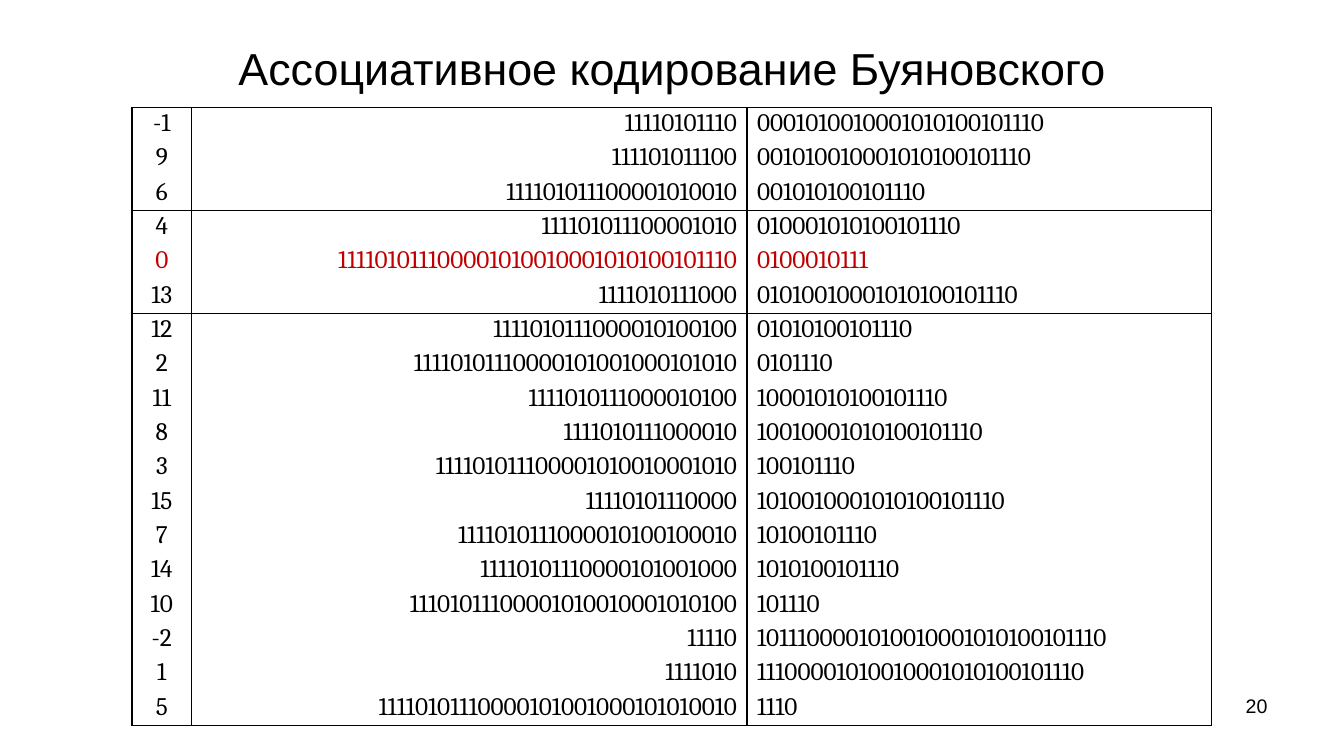
from lxml import etree
from pptx import Presentation
from pptx import util as u
from pptx.dml.color import RGBColor
from pptx.enum import text
from pptx.oxml import ns

BLACK, RED = "000000", "C00000"
ALIGN = text.PP_ALIGN
COLUMNS = [(0.59, ALIGN.CENTER), (5.51, ALIGN.RIGHT), (4.61, ALIGN.LEFT)]
ROW_HEIGHT = 0.33
GROUP_STARTS = {0, 3, 6}
HIGHLIGHT = "0"

# Position, left context, right context
CONTEXTS = [
    ("-1", "11110101110", "0001010010001010100101110"),
    ("9", "111101011100", "001010010001010100101110"),
    ("6", "111101011100001010010", "001010100101110"),
    ("4", "111101011100001010", "010001010100101110"),
    ("0", "111101011100001010010001010100101110", "0100010111"),
    ("13", "1111010111000", "01010010001010100101110"),
    ("12", "1111010111000010100100", "01010100101110"),
    ("2", "11110101110000101001000101010", "0101110"),
    ("11", "1111010111000010100", "10001010100101110"),
    ("8", "1111010111000010", "10010001010100101110"),
    ("3", "111101011100001010010001010", "100101110"),
    ("15", "11110101110000", "1010010001010100101110"),
    ("7", "1111010111000010100100010", "10100101110"),
    ("14", "11110101110000101001000", "1010100101110"),
    ("10", "11101011100001010010001010100", "101110"),
    ("-2", "11110", "1011100001010010001010100101110"),
    ("1", "1111010", "11100001010010001010100101110"),
    ("5", "11110101110000101001000101010010", "1110"),
]


def color(value):
    return RGBColor.from_string(value)


def write(para, words, size, font, align, ink=BLACK):
    para.alignment = align
    span = para.add_run()
    span.text = words
    span.font.size = u.Pt(size)
    span.font.name = font
    span.font.color.rgb = color(ink)


def add_label(page, bounds, words, size, align, anchor):
    box = page.shapes.add_textbox(*map(u.Inches, bounds))
    box.text_frame.word_wrap = True
    box.text_frame.vertical_anchor = anchor
    write(box.text_frame.paragraphs[0], words, size, "Arial", align)


def set_borders(cell, sides):
    props = cell._tc.get_or_add_tcPr()
    for position, side in enumerate(("L", "R", "T", "B")):
        line = etree.Element(ns.qn("a:ln" + side), w=str(u.Pt(1)))
        if side in sides:
            fill = etree.SubElement(line, ns.qn("a:solidFill"))
            etree.SubElement(fill, ns.qn("a:srgbClr"), val=BLACK)
        else:
            etree.SubElement(line, ns.qn("a:noFill"))
        props.insert(position, line)


def add_context_table(page, left, top):
    count = len(CONTEXTS)
    width = sum(size for size, _ in COLUMNS)
    frame = page.shapes.add_table(
        count, len(COLUMNS), *map(u.Inches, (left, top, width, count * ROW_HEIGHT)))
    table = frame.table
    table.first_row = table.horz_banding = False
    for column, (size, _) in zip(table.columns, COLUMNS):
        column.width = u.Inches(size)

    for r, entry in enumerate(CONTEXTS):
        table.rows[r].height = u.Inches(ROW_HEIGHT)
        ink = RED if entry[0] == HIGHLIGHT else BLACK
        sides = "LR"
        if r in GROUP_STARTS:
            sides += "T"
        if r + 1 in GROUP_STARTS or r + 1 == count:
            sides += "B"
        for c, words in enumerate(entry):
            cell = table.cell(r, c)
            cell.fill.background()
            set_borders(cell, sides)
            para = cell.text_frame.paragraphs[0]
            para.line_spacing = 0.8
            write(para, words, 18, "Cambria", COLUMNS[c][1], ink)


def build_slide(deck):
    page = deck.slides.add_slide(deck.slide_layouts[6])
    # Title
    add_label(page, (2.17, 0.16, 9, 1.02), "Ассоциативное кодирование Буяновского",
              32, ALIGN.CENTER, text.MSO_ANCHOR.MIDDLE)
    # Sorted contexts
    add_context_table(page, 1.31, 1.07)
    # Slide number
    add_label(page, (9.56, 6.83, 3.11, 0.52), "20", 14, ALIGN.RIGHT, text.MSO_ANCHOR.TOP)


def main():
    deck = Presentation()
    deck.slide_width, deck.slide_height = u.Inches(13.33), u.Inches(7.5)
    build_slide(deck)
    deck.save("out.pptx")


if __name__ == "__main__":
    main()
